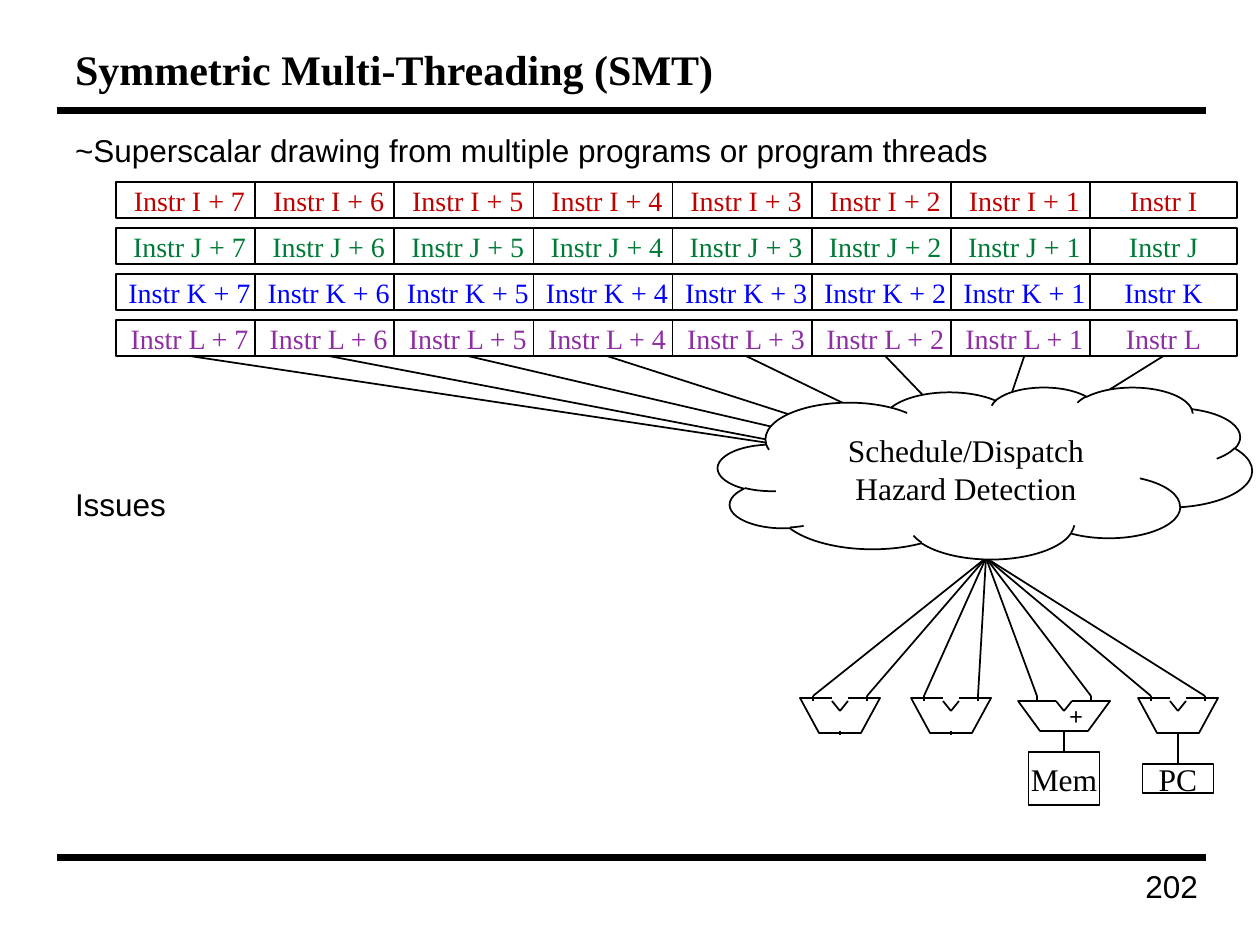
from lxml import etree
from pptx import Presentation
from pptx import util as u
from pptx.dml.color import RGBColor
from pptx.enum import shapes, text
from pptx.oxml.ns import qn

SCALE = 914400 / 126
BLACK = RGBColor(0x00, 0x00, 0x00)
WHITE = RGBColor(0xFF, 0xFF, 0xFF)
RED = RGBColor(0xC0, 0x00, 0x00)
GREEN = RGBColor(0x00, 0x7A, 0x37)
BLUE = RGBColor(0x00, 0x00, 0xFF)
PURPLE = RGBColor(0x8F, 0x2D, 0xA3)
SANS, SERIF = "Arial", "Times New Roman"
LEFT, MID, RIGHT = text.PP_ALIGN.LEFT, text.PP_ALIGN.CENTER, text.PP_ALIGN.RIGHT
TOP, CENTER = text.MSO_ANCHOR.TOP, text.MSO_ANCHOR.MIDDLE
RECT, CLOUD = shapes.MSO_SHAPE.RECTANGLE, shapes.MSO_SHAPE.CLOUD

TITLE = "Symmetric Multi-Threading (SMT)"
BODY = ["~Superscalar drawing from multiple programs or program threads", "Issues"]
PAGE = "202"
RULES = [111, 858]
THREADS = [("I", RED), ("J", GREEN), ("K", BLUE), ("L", PURPLE)]
DEPTH = 8
CELL_X, CELL_Y, CELL_W, CELL_H = 116, 182, 147, 36
SPAN, ROW = 974, 46
ENDS = [(975, 474), (979, 480), (975, 474), (975, 474),
        (979, 469), (994, 469), (987, 466), (987, 466)]
HUB = (718, 387, 534, 172)
HUB_TEXT = ["Schedule/Dispatch", "Hazard Detection"]
FAN = (986, 558)
UNITS = [
    dict(mid=840, half=40, top=698, low=733),
    dict(mid=951, half=40, top=698, low=733),
    dict(mid=1064, half=46, top=701, low=731, sign="+", box=("Mem", 752, 53)),
    dict(mid=1178, half=40, top=698, low=733, box=("PC", 764, 29)),
]
PORT, PORT_Y, BOX_W = 27, 696, 71


def px(n):
    return u.Emu(round(n * SCALE))


def write(shape, lines, size=18, font=SERIF, color=BLACK, bold=False,
          align=MID, anchor=CENTER, wrap=True, inset=(0, 0, 0, 0), gap=0):
    frame = shape.text_frame
    frame.word_wrap = wrap
    frame.auto_size = text.MSO_AUTO_SIZE.NONE
    frame.vertical_anchor = anchor
    (frame.margin_left, frame.margin_top,
     frame.margin_right, frame.margin_bottom) = [px(n) for n in inset]
    for i, line in enumerate(lines):
        para = frame.paragraphs[0] if i == 0 else frame.add_paragraph()
        para.alignment = align
        para.space_before = u.Pt(gap if i else 0)
        run = para.add_run()
        run.text = line
        run.font.size, run.font.name, run.font.bold = u.Pt(size), font, bold
        run.font.color.rgb = color


def paint(shape):
    shape.shadow.inherit = False
    shape.fill.solid()
    shape.fill.fore_color.rgb = WHITE
    shape.line.color.rgb = BLACK
    shape.line.width = u.Pt(1)
    return shape


def draw(slide, kind, x, y, w, h):
    return paint(slide.shapes.add_shape(kind, px(x), px(y), px(w), px(h)))


def link(slide, start, end, color=BLACK, width=1):
    line = slide.shapes.add_connector(
        shapes.MSO_CONNECTOR.STRAIGHT, *[px(n) for n in (*start, *end)])
    line.line.color.rgb = color
    line.line.width = u.Pt(width)
    etree.SubElement(line._element.spPr, qn("a:effectLst"))


def label(slide, lines, x, y, w, h, **form):
    box = slide.shapes.add_textbox(px(x), px(y), px(w), px(h))
    write(box, lines, font=SANS, anchor=TOP, inset=(13, 6, 13, 6), **form)


def unit(slide, mid, half, top, low, sign=None, box=None):
    foot = half // 2 + 1
    pen = slide.shapes.build_freeform(mid - half, top, scale=SCALE)
    pen.add_line_segments(
        [(mid - foot, low), (mid + foot, low), (mid + half, top)], close=True)
    body = paint(pen.convert_to_shape())
    if sign:
        write(body, [sign], size=14, bold=True, wrap=False, inset=(24, 0, 0, 0))
    link(slide, (mid - 8, top), (mid + 8, top), WHITE, 2.25)
    for side in (-1, 1):
        link(slide, (mid, 711), (mid + 8 * side, 701))
        port = mid + PORT * side
        link(slide, (port, PORT_Y), (port, 701))
        link(slide, FAN, (port, PORT_Y))
    if box:
        name, y, h = box
        link(slide, (mid, low), (mid, y))
        cell = draw(slide, RECT, mid - BOX_W / 2, y, BOX_W, h)
        write(cell, [name], wrap=False)
    else:
        link(slide, (mid, low - 2), (mid, 735))


def main():
    deck = Presentation()
    deck.slide_width, deck.slide_height = px(1260), px(945)
    slide = deck.slides.add_slide(deck.slide_layouts[5])
    head = slide.shapes.title
    head.left, head.top, head.width, head.height = [px(n) for n in (62, 32, 1139, 73)]
    write(head, [TITLE], size=24, bold=True, align=LEFT, inset=(13, 6, 13, 6))
    for y in RULES:
        link(slide, (57, y), (1206, y), width=4)
    label(slide, [PAGE], 953, 861, 258, 62, align=RIGHT)
    label(slide, BODY, 62, 125, 1139, 726, align=LEFT, gap=180.4)

    step = SPAN / (DEPTH - 1)
    base = CELL_Y + ROW * (len(THREADS) - 1) + CELL_H
    for i, end in enumerate(ENDS):
        link(slide, (CELL_X + i * step + CELL_W / 2, base), end)
    for row, (name, color) in enumerate(THREADS):
        for i in range(DEPTH):
            ahead = DEPTH - 1 - i
            words = f"Instr {name} + {ahead}" if ahead else f"Instr {name}"
            cell = draw(slide, RECT, CELL_X + i * step, CELL_Y + row * ROW, CELL_W, CELL_H)
            write(cell, [words], size=16, color=color, wrap=False)

    for part in UNITS:
        unit(slide, **part)
    write(draw(slide, CLOUD, *HUB), HUB_TEXT)
    deck.save("out.pptx")


if __name__ == "__main__":
    main()
